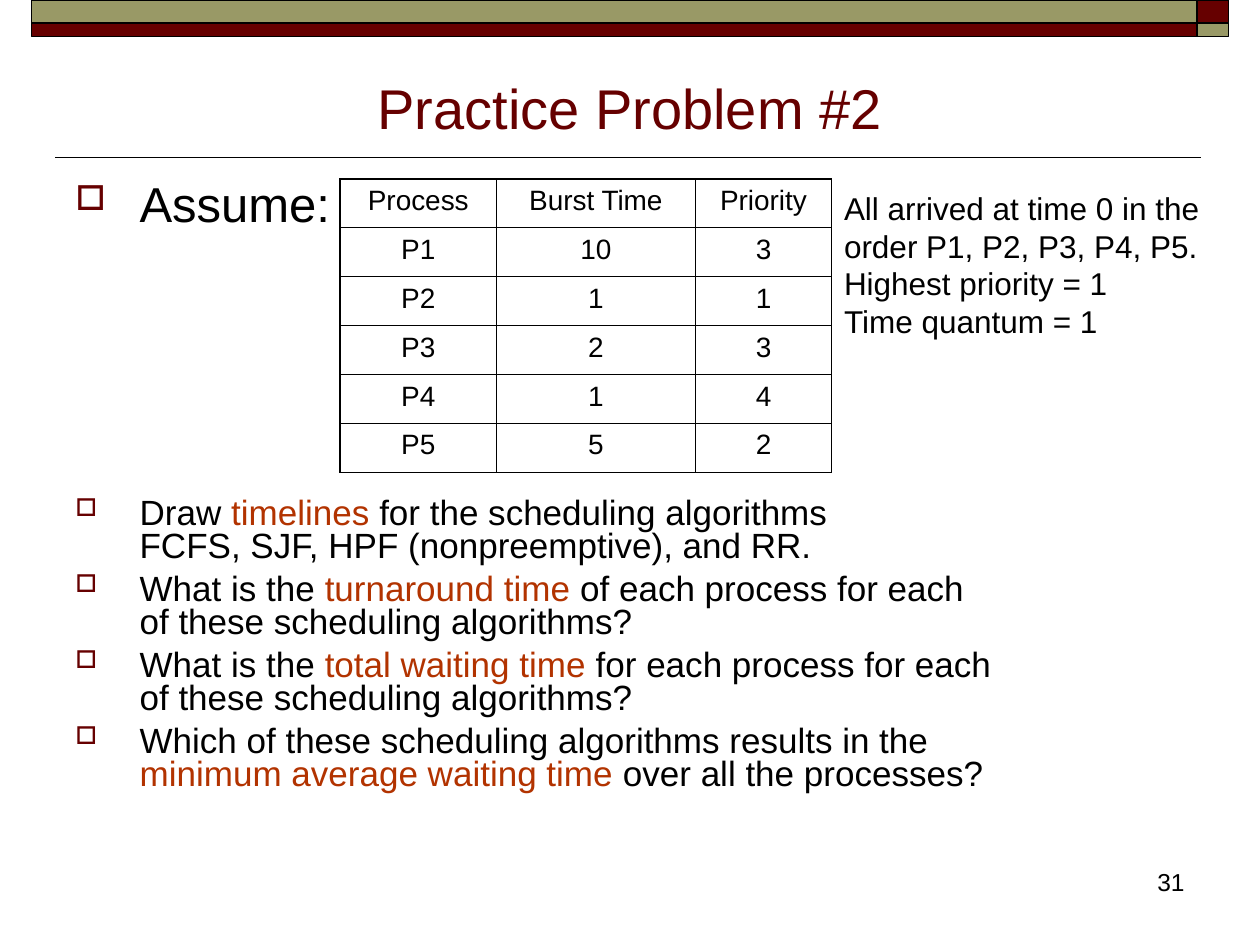
from lxml.etree import SubElement as Sub
from pptx import Presentation
from pptx.dml.color import RGBColor
from pptx.enum.shapes import MSO_CONNECTOR as Conn, MSO_SHAPE as Shape
from pptx.enum.text import MSO_ANCHOR as Anchor, PP_ALIGN as Align
from pptx.oxml.ns import qn
from pptx.util import Inches, Pt

BLACK, MAROON, OLIVE, RUST = "000000", "660000", "999966", "B23300"


def rgb(code):
    return RGBColor.from_string(code)


def write(para, text, size, color=BLACK):
    """Add text as runs, with a line break at each newline."""
    for i, part in enumerate(text.split("\n")):
        if i:
            para.add_line_break()
        if part:
            run = para.add_run()
            run.text = part
            look = {"name": "Arial", "size": Pt(size), "bold": False}
            for key, val in look.items():
                setattr(run.font, key, val)
            run.font.color.rgb = rgb(color)


prs = Presentation()
prs.slide_width, prs.slide_height = Inches(10), Inches(7.5)
slide = prs.slides.add_slide(prs.slide_layouts[5])
shapes = slide.shapes

# Rule under the title
rule = shapes.add_connector(Conn.STRAIGHT, Inches(9.53), Inches(1.25),
                            Inches(0.44), Inches(1.25))
rule.line.color.rgb = rgb(BLACK)
rule.line.width = Pt(1)
Sub(rule._element.spPr, qn("a:effectLst"))

# Top bands
bands = [
    (9.5, 0, 0.25, 0.18, MAROON),
    (0.25, 0, 9.25, 0.18, OLIVE),
    (0.25, 0.18, 9.25, 0.11, MAROON),
    (9.5, 0.18, 0.25, 0.11, OLIVE),
]
for *place, color in bands:
    band = shapes.add_shape(Shape.RECTANGLE, *map(Inches, place))
    band.shadow.inherit = False
    band.fill.solid()
    band.fill.fore_color.rgb = rgb(color)
    band.line.color.rgb = rgb(BLACK)
    band.line.width = Pt(1)

# Page number
page = shapes.add_textbox(Inches(7.42), Inches(6.83), Inches(2.08), Inches(0.5))
page.text_frame.word_wrap = True
para = page.text_frame.paragraphs[0]
para.alignment = Align.RIGHT
write(para, "31", 14)

# Title
title = shapes.title
place = {"left": 0.5, "top": 0.45, "width": 9, "height": 0.72}
for key, val in place.items():
    setattr(title, key, Inches(val))
title.text_frame.vertical_anchor = Anchor.BOTTOM
para = title.text_frame.paragraphs[0]
para.alignment = Align.CENTER
write(para, "Practice Problem #2", 32, MAROON)

# Bullets: size, space before, then plain and accented text in turn
items = [
    (28, 0, ["Assume:"]),
    (20, 152, ["Draw ", "timelines ", "for the scheduling algorithms \n"
               "FCFS, SJF, HPF (nonpreemptive), and RR."]),
    (20, 5, ["What is the ", "turnaround time ", "of each process for each \n"
             "of these scheduling algorithms?"]),
    (20, 5, ["What is the ", "total waiting time ", "for each process for each \n"
             "of these scheduling algorithms?"]),
    (20, 5, ["Which of these scheduling algorithms results in the \n",
             "minimum average waiting time ", "over all the processes?"]),
]
body = shapes.add_textbox(Inches(0.5), Inches(1.42), Inches(9), Inches(5.33))
frame = body.text_frame
frame.word_wrap = True
for i, (size, gap, parts) in enumerate(items):
    para = frame.add_paragraph() if i else frame.paragraphs[0]
    props = para._p.get_or_add_pPr()
    props.set("marL", str(Inches(0.51)))
    props.set("indent", str(-Inches(0.51)))
    tint = Sub(props, qn("a:buClr"))
    Sub(tint, qn("a:srgbClr"), val=MAROON)
    Sub(props, qn("a:buSzPct"), val="70000")
    Sub(props, qn("a:buChar"), char="□")
    para.line_spacing = 0.8
    if gap:
        para.space_before = Pt(gap)
    for j, part in enumerate(parts):
        write(para, part, size, RUST if j % 2 else BLACK)

# Process table, with a heavier outer border
rows = [
    ("Process", "Burst Time", "Priority"),
    ("P1", "10", "3"),
    ("P2", "1", "1"),
    ("P3", "2", "3"),
    ("P4", "1", "4"),
    ("P5", "5", "2"),
]
widths = [1.24, 1.58, 1.08]
table = shapes.add_table(len(rows), len(widths), Inches(2.7), Inches(1.42),
                         Inches(3.9), Inches(2.33)).table
table.first_row = table.horz_banding = False
for col, width in zip(table.columns, widths):
    col.width = Inches(width)
for r, row in enumerate(rows):
    table.rows[r].height = Inches(2.33 / len(rows))
    for c, text in enumerate(row):
        cell = table.cell(r, c)
        para = cell.text_frame.paragraphs[0]
        para.alignment = Align.CENTER
        write(para, text, 16)
        props = cell._tc.get_or_add_tcPr()
        outer = {"L": c == 0, "R": c == len(widths) - 1,
                 "T": r == 0, "B": r == len(rows) - 1}
        for side, edge in outer.items():
            line = Sub(props, qn("a:ln" + side), w=str(Pt(1.08 if edge else 0.45)))
            fill = Sub(line, qn("a:solidFill"))
            Sub(fill, qn("a:srgbClr"), val=BLACK)
        cell.fill.background()

# Side notes
notes = [
    "All arrived at time 0 in the",
    "order P1, P2, P3, P4, P5.",
    "Highest priority = 1",
    "Time quantum = 1",
]
side = shapes.add_textbox(Inches(6.6), Inches(1.45), Inches(3.02), Inches(1.3))
frame = side.text_frame
frame.word_wrap = False
for i, text in enumerate(notes):
    para = frame.add_paragraph() if i else frame.paragraphs[0]
    write(para, text, 18)

prs.save("out.pptx")
